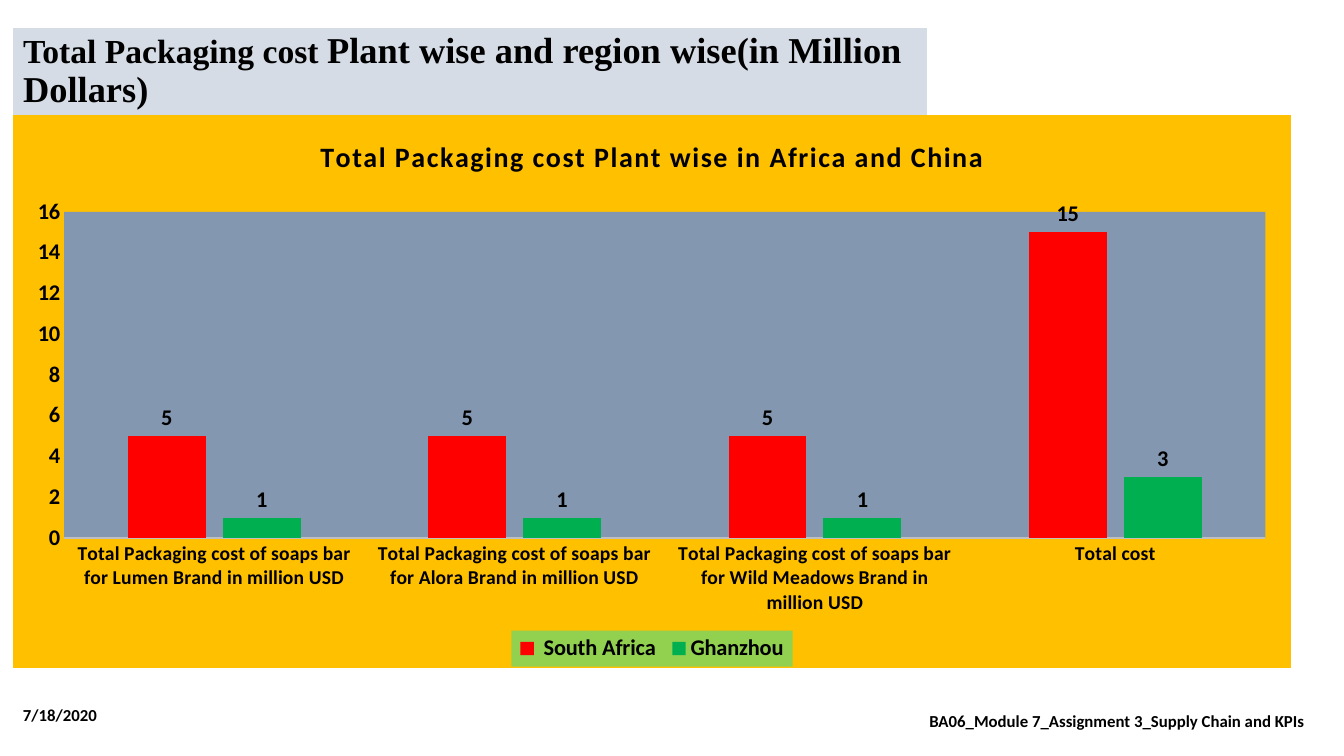
from lxml import etree
from pptx import Presentation
from pptx.chart.data import CategoryChartData
from pptx.dml.color import RGBColor
from pptx.enum.chart import XL_CHART_TYPE, XL_LABEL_POSITION, XL_LEGEND_POSITION, XL_TICK_MARK
from pptx.enum.text import MSO_ANCHOR, MSO_AUTO_SIZE, PP_ALIGN
from pptx.oxml import parse_xml
from pptx.oxml.ns import nsdecls, qn
from pptx.util import Pt

COLUMNS = XL_CHART_TYPE.COLUMN_CLUSTERED
OUTSIDE_END = XL_LABEL_POSITION.OUTSIDE_END
BOTTOM = XL_LEGEND_POSITION.BOTTOM
NO_TICK = XL_TICK_MARK.NONE
MIDDLE = MSO_ANCHOR.MIDDLE
NO_AUTOFIT = MSO_AUTO_SIZE.NONE
LEFT, CENTER = PP_ALIGN.LEFT, PP_ALIGN.CENTER

EMU_PER_PX = 914400 / 100.8
COLORS = {
    "text": "000000", "title": "D6DCE5", "chart": "FFC000", "plot": "8497B0",
    "legend": "92D050", "axis": "BFBFBF", "africa": "FF0000", "china": "00B050",
}
CATEGORIES = [
    "Total Packaging cost of soaps bar for Lumen Brand in million USD",
    "Total Packaging cost of soaps bar for Alora Brand in million USD",
    "Total Packaging cost of soaps bar for Wild Meadows Brand in million USD",
    "Total cost",
]
PLANTS = [
    (" South Africa", (5, 5, 5, 15), "africa"),
    ("Ghanzhou", (1, 1, 1, 3), "china"),
]


def px(length):
    return round(length * EMU_PER_PX)


def color(name):
    return RGBColor.from_string(COLORS[name])


def area_fill(name):
    return parse_xml(
        f'<c:spPr {nsdecls("c", "a")}><a:solidFill><a:srgbClr val="{COLORS[name]}"/>'
        '</a:solidFill><a:ln><a:noFill/></a:ln></c:spPr>'
    )


def manual_layout(part, frame, inner=False):
    for old in part.findall(qn("c:layout")):
        part.remove(old)
    layout = parse_xml(f'<c:layout {nsdecls("c")}><c:manualLayout/></c:layout>')
    settings = [("layoutTarget", "inner")] if inner else []
    settings += [("xMode", "edge"), ("yMode", "edge")]
    settings += zip("xywh", frame)
    for tag, value in settings:
        etree.SubElement(layout[0], qn(f"c:{tag}")).set("val", str(value))
    return layout


class CostSlide:
    font_name = "Calibri"
    title_font = "Times New Roman"

    def __init__(self, page):
        self.page = page

    def style(self, font, size, name=None):
        font.name = name or self.font_name
        font.size = Pt(size)
        font.bold = True
        font.color.rgb = color("text")

    def add_spans(self, box, spans, align=LEFT, name=None):
        frame = box.text_frame
        frame.word_wrap = True
        frame.auto_size = NO_AUTOFIT
        frame.vertical_anchor = MIDDLE
        para = frame.paragraphs[0]
        para.alignment = align
        for text, size in spans:
            span = para.add_run()
            span.text = text
            self.style(span.font, size, name)
        return para

    def title(self, frame, spans):
        box = self.page.shapes.title
        box.left, box.top, box.width, box.height = map(px, frame)
        box.fill.solid()
        box.fill.fore_color.rgb = color("title")
        self.add_spans(box, spans, name=self.title_font).line_spacing = 0.9

    def label(self, frame, text, align=LEFT):
        box = self.page.shapes.add_textbox(*map(px, frame))
        self.add_spans(box, [(text, 12)], align)

    def chart(self, frame, title):
        data = CategoryChartData(number_format="General")
        data.categories = CATEGORIES
        for plant, costs, _ in PLANTS:
            data.add_series(plant, costs)
        chart = self.page.shapes.add_chart(COLUMNS, *map(px, frame), data).chart
        chart.font.name = self.font_name
        chart.font.size = Pt(10)
        chart.font.color.rgb = color("text")
        space = chart._chartSpace
        space.find(qn("c:txPr")).addprevious(area_fill("chart"))
        self.chart_title(chart, title)
        self.columns(chart.plots[0])
        self.axes(chart)
        self.legend(chart)
        plot_area = space.chart.plotArea
        plot_area.insert(0, manual_layout(plot_area, (0.04, 0.175, 0.94, 0.59), inner=True))
        plot_area.append(area_fill("plot"))

    def chart_title(self, chart, text):
        chart.has_title = True
        span = chart.chart_title.text_frame.paragraphs[0].add_run()
        span.text = text
        self.style(span.font, 20)
        span.font._element.set("spc", "100")

    def columns(self, plot):
        plot.gap_width = 164
        plot.overlap = -22
        plot.vary_by_categories = False
        for series, (_, _, shade) in zip(plot.series, PLANTS):
            series.format.fill.solid()
            series.format.fill.fore_color.rgb = color(shade)
            labels = series.data_labels
            labels.show_value = True
            labels.position = OUTSIDE_END
            self.style(labels.font, 16)

    def axes(self, chart):
        for axis, size in ((chart.category_axis, 14), (chart.value_axis, 16)):
            axis.has_major_gridlines = False
            axis.major_tick_mark = axis.minor_tick_mark = NO_TICK
            self.style(axis.tick_labels.font, size)
        base_line = chart.category_axis.format.line
        base_line.color.rgb = color("axis")
        base_line.width = Pt(1.5)
        costs = chart.value_axis
        costs.format.line.fill.background()
        costs.minimum_scale, costs.maximum_scale, costs.major_unit = 0, 16, 2

    def legend(self, chart):
        chart.has_legend = True
        legend = chart.legend
        legend.position = BOTTOM
        legend.include_in_layout = False
        self.style(legend.font, 16)
        part = legend._element
        layout = manual_layout(part, (0.39, 0.935, 0.22, 0.065))
        part.find(qn("c:legendPos")).addnext(layout)
        part.find(qn("c:txPr")).addprevious(area_fill("legend"))


def main():
    deck = Presentation()
    deck.slide_width, deck.slide_height = px(1344), px(756)
    slide = CostSlide(deck.slides.add_slide(deck.slide_layouts[5]))
    slide.title((13, 28, 914, 87), [
        ("Total Packaging cost ", 24),
        ("Plant wise and region wise(in Million Dollars)", 26),
    ])
    slide.label((13, 695, 302, 40), "7/18/2020")
    slide.label((890, 701, 454, 40), "BA06_Module 7_Assignment 3_Supply Chain and KPIs", CENTER)
    slide.chart((13, 115, 1278, 553), "Total Packaging cost Plant wise in Africa and China")
    deck.save("out.pptx")


if __name__ == "__main__":
    main()
